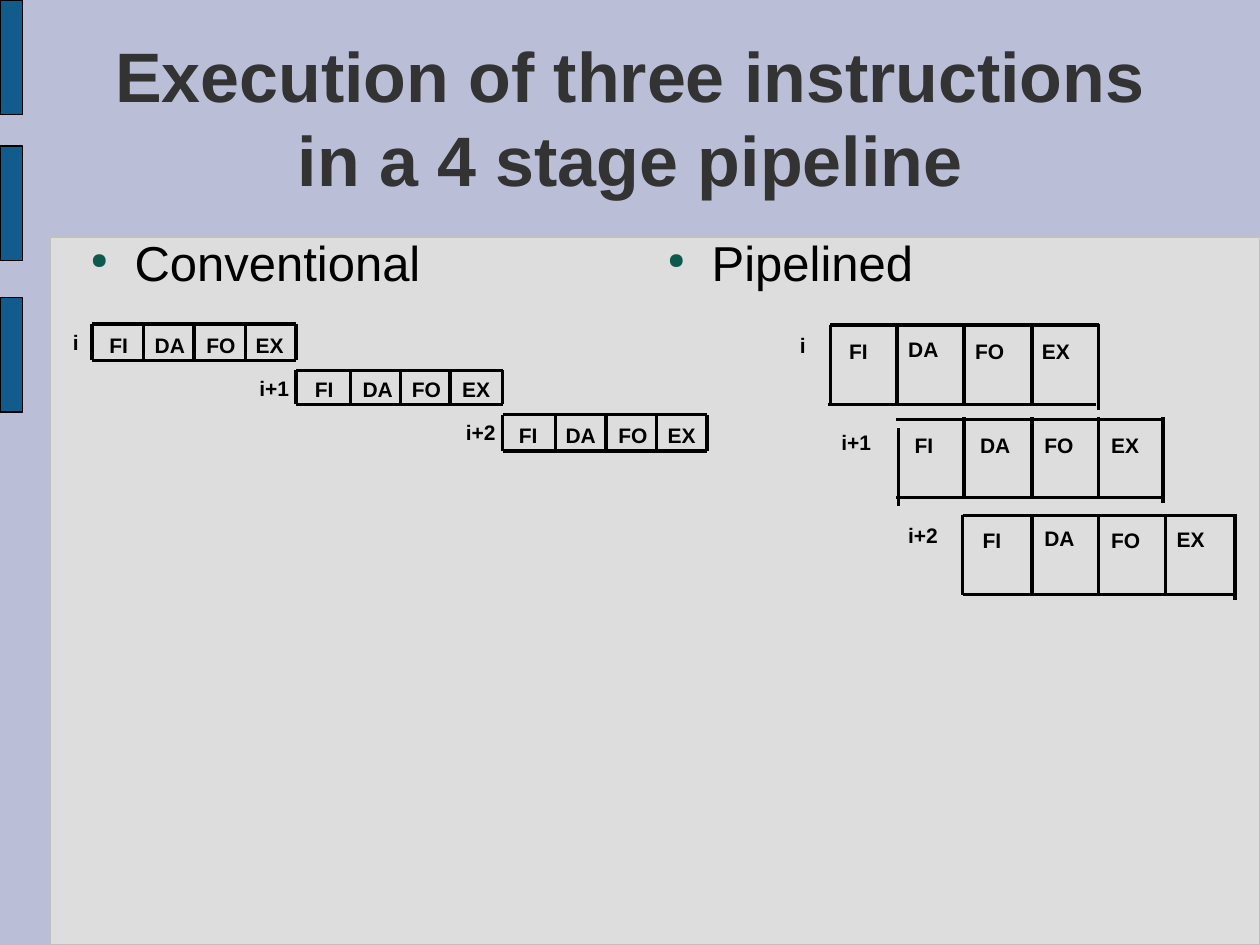
from dataclasses import dataclass
from lxml import etree
from pptx import Presentation
from pptx.dml.color import RGBColor
from pptx.enum.shapes import MSO_CONNECTOR, MSO_SHAPE
from pptx.enum.text import MSO_ANCHOR, MSO_AUTO_SIZE, PP_ALIGN
from pptx.oxml.ns import qn
from pptx.util import Inches, Pt


@dataclass
class Theme:
    font: str = "Arial"
    back: str = "BABED6"
    panel: str = "DDDDDD"
    edge: str = "C0C0C0"
    bar: str = "125C8D"
    title: str = "333333"
    ink: str = "000000"
    bullet: str = "0E594D"
    title_size: int = 40
    head_size: int = 28
    label_size: int = 12
    rule: float = 2
    thin: float = 0.75


@dataclass
class Row:
    name: str
    spot: tuple       # left and top of the row name
    edges: tuple      # x of the cell borders
    span: tuple       # top and bottom of the cells
    lefts: tuple      # left of each stage name
    tops: tuple       # top of each stage name
    start: tuple = (0, 0)  # offset of the first border
    foot: float = 0   # offset of the bottom rule
    tail: float = 0   # overshoot of the last border
    lift: float = 0   # overshoot of the borders at the top


# Content
TITLE = "Execution of three instructions in a 4 stage pipeline"
STAGES = ("FI", "DA", "FO", "EX")
WIDTHS = {"FI": 0.35, "DA": 0.44, "FO": 0.43, "EX": 0.42,
          "i": 0.25, "i+1": 0.44, "i+2": 0.44}
BARS = (0, 1.16, 2.36)
PARTS = [
    ("Conventional", 0.5, [
        Row("i", (0.48, 2.59), (0.73, 1.14, 1.54, 1.95, 2.35),
            (2.57, 2.86), (0.77, 1.13, 1.54, 1.93), (2.61,) * 4),
        Row("i+1", (1.96, 2.95), (2.35, 2.78, 3.18, 3.57, 3.99),
            (2.94, 3.21), (2.4, 2.78, 3.17, 3.57), (2.96,) * 4),
        Row("i+2", (3.6, 3.3), (3.99, 4.41, 4.81, 5.21, 5.61),
            (3.29, 3.58), (4.02, 4.39, 4.81, 5.2), (3.33,) * 4),
    ]),
    ("Pipelined", 5.08, [
        Row("i", (6.25, 2.61), (6.59, 7.12, 7.65, 8.19, 8.72),
            (2.58, 3.21), (6.64, 7.11, 7.64, 8.17),
            (2.66, 2.64, 2.66, 2.66), foot=-0.02, tail=0.04, lift=0.01),
        Row("i+1", (6.58, 3.38), (7.11, 7.65, 8.19, 8.72, 9.23),
            (3.33, 3.95), (7.16, 7.68, 8.19, 8.72), (3.41,) * 4,
            start=(0.02, 0.07), tail=0.04, lift=0.02),
        Row("i+2", (7.11, 4.12), (7.64, 8.19, 8.72, 9.25, 9.8),
            (4.09, 4.72), (7.7, 8.19, 8.72, 9.24),
            (4.16, 4.14, 4.16, 4.15), tail=0.04, lift=0.01),
    ]),
]

theme = Theme()


def tint(code):
    return RGBColor.from_string(code)


def block(shapes, kind, box, fill, edge):
    shape = shapes.add_shape(kind, *map(Inches, box))
    shape.shadow.inherit = False
    shape.fill.solid()
    shape.fill.fore_color.rgb = tint(fill)
    shape.line.color.rgb = tint(edge)
    shape.line.width = Pt(theme.thin)
    return shape


def write(shapes, text, box, size, color=theme.ink, bold=False, wrap=True):
    frame = shapes.add_textbox(*map(Inches, box)).text_frame
    frame.text = text
    frame.word_wrap = wrap
    font = frame.paragraphs[0].runs[0].font
    font.name, font.size, font.bold = theme.font, Pt(size), bold
    font.color.rgb = tint(color)
    return frame


def label(shapes, text, left, top):
    frame = write(shapes, text, (left, top, WIDTHS[text], 0.28),
                  theme.label_size, bold=True, wrap=False)
    frame.auto_size = MSO_AUTO_SIZE.SHAPE_TO_FIT_TEXT
    frame.paragraphs[0].line_spacing = 0.9


def rule(shapes, *ends):
    line = shapes.add_connector(MSO_CONNECTOR.STRAIGHT, *map(Inches, ends))
    line.line.color.rgb = tint(theme.ink)
    line.line.width = Pt(theme.rule)
    etree.SubElement(line._element.spPr, qn("a:effectLst"))


def dot(para):
    props = para._p.get_or_add_pPr()
    props.set("marL", str(Inches(0.47)))
    props.set("indent", str(Inches(-0.35)))
    shade = etree.SubElement(props, qn("a:buClr"))
    etree.SubElement(shade, qn("a:srgbClr"), val=theme.bullet)
    etree.SubElement(props, qn("a:buSzPct"), val="45000")
    etree.SubElement(props, qn("a:buChar"), char="●")


def draw(shapes, row):
    top, foot = row.span
    first, *inner, last = row.edges
    rule(shapes, first, top, last, top)
    rule(shapes, first + row.foot, foot, last + row.foot, foot)
    shift, drop = row.start
    rule(shapes, first + shift, top + drop, first + shift, foot + drop)
    for x in inner:
        rule(shapes, x, top - row.lift, x, foot)
    rule(shapes, last, top - row.lift, last, foot + row.tail)
    label(shapes, row.name, *row.spot)
    for stage, x, y in zip(STAGES, row.lefts, row.tops):
        label(shapes, stage, x, y)


deck = Presentation()
deck.slide_width, deck.slide_height = Inches(10), Inches(7.5)
slide = deck.slides.add_slide(deck.slide_layouts[6])
shapes = slide.shapes

# Background, panel and side bars
slide.background.fill.solid()
slide.background.fill.fore_color.rgb = tint(theme.back)
panel = block(shapes, MSO_SHAPE.ROUNDED_RECTANGLE, (0.4, 1.88, 9.6, 5.62),
              theme.panel, theme.edge)
panel.adjustments[0] = 0
for y in BARS:
    block(shapes, MSO_SHAPE.RECTANGLE, (0, y, 0.18, 0.91),
          theme.bar, theme.ink)

# Title
frame = write(shapes, TITLE, (0.5, 0.2, 9, 1.45), theme.title_size,
              theme.title, bold=True)
frame.vertical_anchor = MSO_ANCHOR.MIDDLE
frame.paragraphs[0].alignment = PP_ALIGN.CENTER
frame.paragraphs[0].line_spacing = Pt(48)

# Headings and their pipeline diagrams
for head, left, rows in PARTS:
    frame = write(shapes, head, (left, 1.8, 4.42, 0.6), theme.head_size)
    dot(frame.paragraphs[0])
    group = shapes.add_group_shape()
    for row in rows:
        draw(group.shapes, row)

deck.save("out.pptx")
